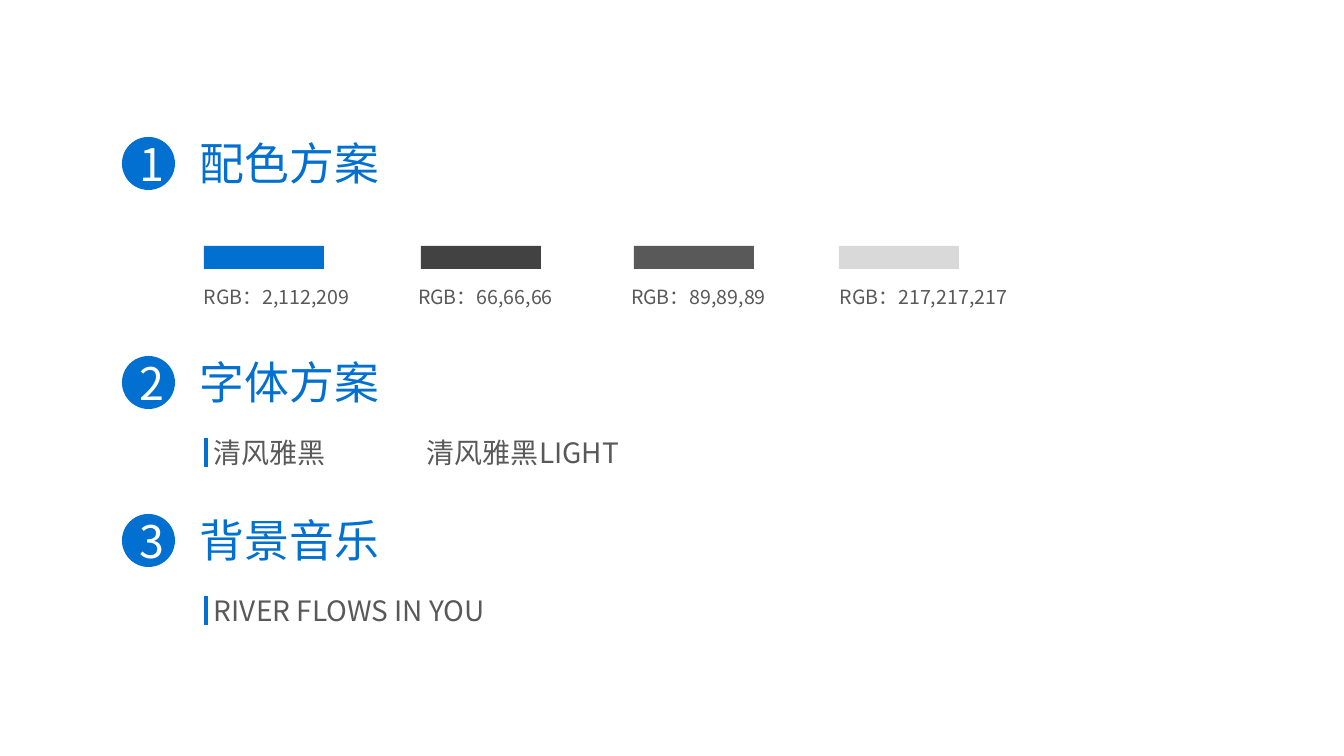
from dataclasses import dataclass

from lxml.etree import SubElement
from pptx import Presentation
from pptx.dml.color import RGBColor
from pptx.enum.shapes import MSO_CONNECTOR as Link, MSO_SHAPE as Kind
from pptx.enum.text import MSO_ANCHOR as Anchor, MSO_AUTO_SIZE as Fit, PP_ALIGN as Align
from pptx.oxml.ns import qn
from pptx.shapes.autoshape import Shape
from pptx.slide import Slide
from pptx.util import Emu, Pt

SCALE = 914400 / 100.8
FONT = "Noto Sans CJK SC"
BLUE = "0270D1"
GREY = "595959"
WHITE = "FFFFFF"
TAB = 213


@dataclass
class Section:
    top: int
    title: str
    note: str = ""
    width: int = 0


@dataclass
class Swatch:
    left: int
    color: str
    label: str
    start: int
    width: int


SECTIONS = [
    Section(137, "配色方案"),
    Section(356, "字体方案", "清风雅黑\t清风雅黑LIGHT", 481),
    Section(514, "背景音乐", "RIVER FLOWS IN YOU", 331),
]
SWATCHES = [
    Swatch(204, BLUE, "RGB：2,112,209", 185, 183),
    Swatch(421, "424242", "RGB：66,66,66", 401, 169),
    Swatch(634, GREY, "RGB：89,89,89", 614, 169),
    Swatch(839, "D9D9D9", "RGB：217,217,217", 825, 197),
]


def px(size: int) -> Emu:
    return Emu(round(size * SCALE))


def tint(code: str) -> RGBColor:
    return RGBColor.from_string(code)


def write(shape: Shape, text: str, size: int, color: str, align: Align) -> None:
    para = shape.text_frame.paragraphs[0]
    para.text = text
    para.alignment = align
    if "\t" in text:
        tabs = SubElement(para._p.get_or_add_pPr(), qn("a:tabLst"))
        SubElement(tabs, qn("a:tab"), pos=str(px(TAB)), algn="l")
    for run in para.runs:
        run.font.name = FONT
        run.font.size = Pt(size)
        run.font.color.rgb = tint(color)
        SubElement(run._r.get_or_add_rPr(), qn("a:ea"), typeface=FONT)


def block(slide: Slide, kind: Kind, left: int, top: int,
          width: int, height: int, color: str) -> Shape:
    shape = slide.shapes.add_shape(kind, px(left), px(top), px(width), px(height))
    shape.shadow.inherit = False
    shape.fill.solid()
    shape.fill.fore_color.rgb = tint(color)
    shape.line.fill.background()
    return shape


def label(slide: Slide, left: int, top: int, width: int, height: int,
          text: str, size: int, color: str, align: Align = Align.LEFT) -> None:
    box = slide.shapes.add_textbox(px(left), px(top), px(width), px(height))
    box.text_frame.word_wrap = True
    box.text_frame.auto_size = Fit.SHAPE_TO_FIT_TEXT
    write(box, text, size, color, align)


def bar(slide: Slide, left: int, top: int, height: int) -> None:
    line = slide.shapes.add_connector(
        Link.STRAIGHT, px(left), px(top), px(left), px(top + height))
    line.line.color.rgb = tint(BLUE)
    line.line.width = Pt(3)
    SubElement(line._element.spPr, qn("a:effectLst"))


def draw_section(slide: Slide, number: int, part: Section) -> None:
    disc = block(slide, Kind.OVAL, 122, part.top, 53, 53, BLUE)
    disc.text_frame.vertical_anchor = Anchor.MIDDLE
    write(disc, str(number), 32, WHITE, Align.CENTER)
    label(slide, 190, part.top - 6, 211, 65, part.title, 32, BLUE)
    if part.note:
        label(slide, 204, part.top + 75, part.width, 44, part.note, 20, GREY)
        bar(slide, 206, part.top + 82, 29)


def draw_swatch(slide: Slide, item: Swatch) -> None:
    block(slide, Kind.RECTANGLE, item.left, 246, 120, 23, item.color)
    label(slide, item.start, 280, item.width, 34, item.label, 14, GREY, Align.CENTER)


def main() -> None:
    deck = Presentation()
    deck.slide_width = px(1344)
    deck.slide_height = px(756)
    slide = deck.slides.add_slide(deck.slide_layouts[6])
    for number, part in enumerate(SECTIONS, 1):
        draw_section(slide, number, part)
    for item in SWATCHES:
        draw_swatch(slide, item)
    deck.save("out.pptx")


if __name__ == "__main__":
    main()
